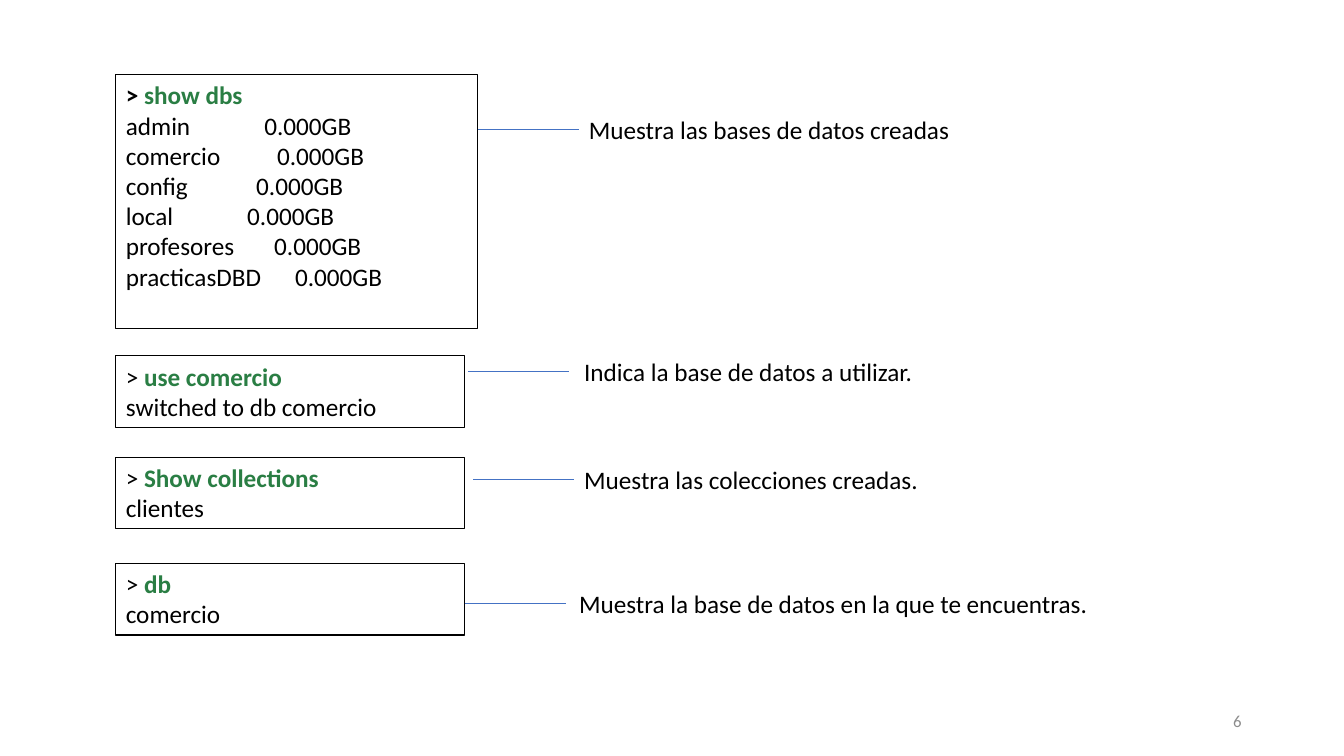
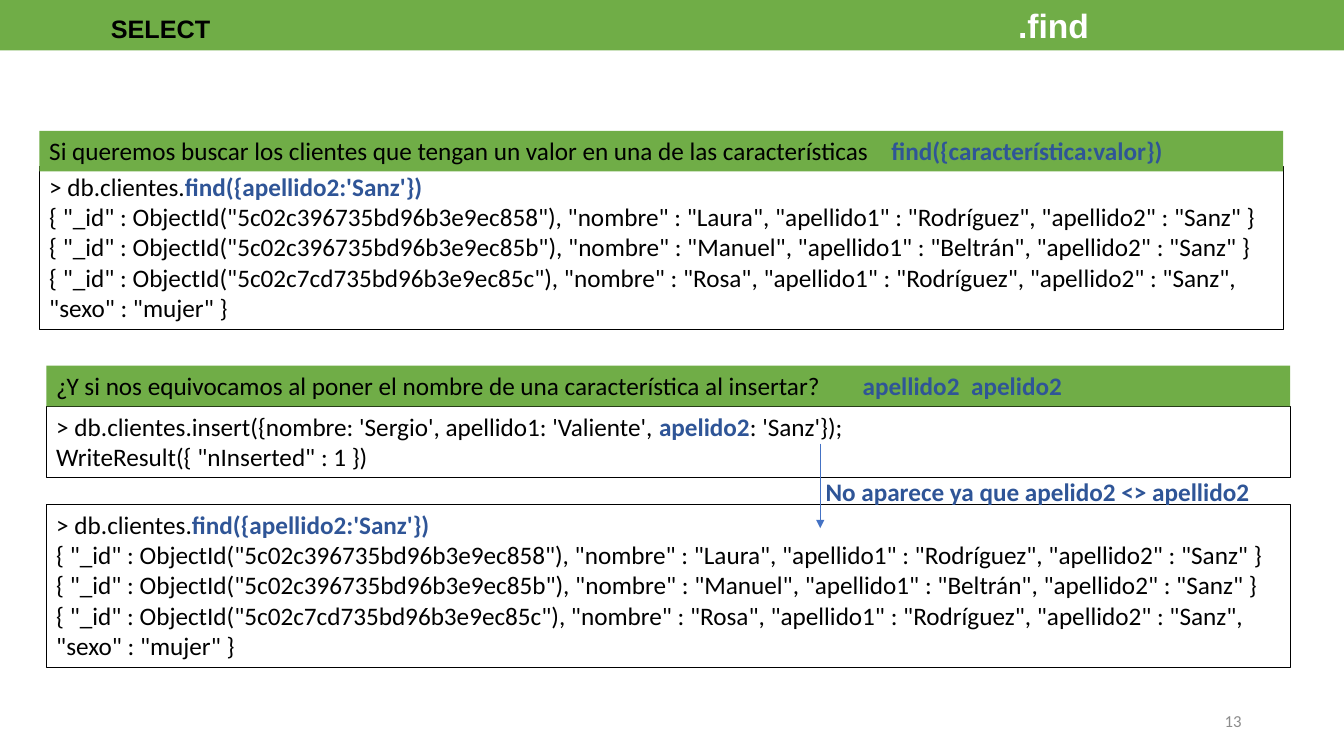
"""Build two slides about database shell commands and find queries."""
import dataclasses

import lxml.etree
import pptx
import pptx.dml.color
import pptx.enum.shapes
import pptx.enum.text
import pptx.oxml.ns
import pptx.util

Pt = pptx.util.Pt
RGB = pptx.dml.color.RGBColor.from_string
qn = pptx.oxml.ns.qn
ALIGN = pptx.enum.text.PP_ALIGN
ANCHOR = pptx.enum.text.MSO_ANCHOR
RECTANGLE = pptx.enum.shapes.MSO_SHAPE.RECTANGLE
STRAIGHT = pptx.enum.shapes.MSO_CONNECTOR.STRAIGHT


@dataclasses.dataclass(frozen=True)
class Theme:
    black: str = "000000"
    white: str = "FFFFFF"
    band: str = "70AD47"
    command: str = "2A7E44"
    accent: str = "2F5597"
    connector: str = "4472C4"
    muted: str = "8C8C8C"
    body: str = "Calibri"
    heading: str = "Arial"
    small: int = 12
    normal: int = 18
    large: int = 24


theme = Theme()
styles = {
    "plain": (theme.black, {"name": theme.body, "size": Pt(theme.normal), "bold": False}),
    "prompt": (theme.black, {"name": theme.body, "size": Pt(theme.normal), "bold": True}),
    "command": (theme.command, {"name": theme.body, "size": Pt(theme.normal), "bold": True}),
    "accent": (theme.accent, {"name": theme.body, "size": Pt(theme.normal), "bold": True}),
    "title": (theme.black, {"name": theme.heading, "size": Pt(theme.normal), "bold": True}),
    "method": (theme.white, {"name": theme.heading, "size": Pt(theme.large), "bold": True}),
    "number": (theme.muted, {"name": theme.body, "size": Pt(theme.small), "bold": False}),
}


def write(shape, paragraphs, alignment=ALIGN.LEFT, anchor=ANCHOR.TOP, margin_left=7.2):
    frame = shape.text_frame
    frame_format = {
        "word_wrap": True,
        "auto_size": pptx.enum.text.MSO_AUTO_SIZE.NONE,
        "vertical_anchor": anchor,
        "margin_left": Pt(margin_left),
        "margin_right": Pt(7.2),
        "margin_top": Pt(3.6),
        "margin_bottom": Pt(3.6),
    }
    for name, value in frame_format.items():
        setattr(frame, name, value)
    for index, (runs, tabs) in enumerate(paragraphs):
        paragraph = frame.add_paragraph() if index else frame.paragraphs[0]
        paragraph.alignment = alignment
        if tabs:
            properties = paragraph._p.get_or_add_pPr()
            tab_list = lxml.etree.SubElement(properties, qn("a:tabLst"))
            for position in tabs:
                lxml.etree.SubElement(tab_list, qn("a:tab"), pos=str(Pt(position)), algn="l")
        for text, style in runs:
            run = paragraph.add_run()
            run.text = text
            color, font_format = styles[style]
            for name, value in font_format.items():
                setattr(run.font, name, value)
            run.font.color.rgb = RGB(color)


def draw(slide, kind, left, top, width, height):
    lengths = [Pt(length) for length in (left, top, width, height)]
    if kind == "text":
        return slide.shapes.add_textbox(*lengths)
    if kind in ("line", "arrow"):
        start_x, start_y, across, down = lengths
        connector = slide.shapes.add_connector(
            STRAIGHT, start_x, start_y, start_x + across, start_y + down)
        connector.line.color.rgb = RGB(theme.connector)
        connector.line.width = Pt(0.5)
        if kind == "arrow":
            lxml.etree.SubElement(connector.line._get_or_add_ln(), qn("a:tailEnd"), type="triangle")
        lxml.etree.SubElement(connector._element.spPr, qn("a:effectLst"))
        return connector
    shape = slide.shapes.add_shape(RECTANGLE, *lengths)
    shape.shadow.inherit = False
    if kind == "band":
        shape.fill.solid()
        shape.fill.fore_color.rgb = RGB(theme.band)
        shape.line.fill.background()
    else:
        shape.fill.background()
        shape.line.color.rgb = RGB(theme.black)
        shape.line.width = Pt(0.75)
    return shape


presentation = pptx.Presentation()
presentation.slide_width = Pt(960)
presentation.slide_height = Pt(540)
title_layout, blank_layout = presentation.slide_layouts[5], presentation.slide_layouts[6]

commands_slide = presentation.slides.add_slide(blank_layout)
databases = [
    ("admin", 98.9),
    ("comercio", 108),
    ("config", 93.1),
    ("local", 86.7),
    ("profesores", 106),
    ("practicasDBD", 120.9),
]
database_list = [([(">", "prompt"), (" show dbs", "command")], [])]
database_list += [([(f"{name}\t0.000GB", "plain")], [tab]) for name, tab in databases]
write(draw(commands_slide, "box", 82.8, 53.3, 258.5, 181.4), database_list)

for command, reply, top in [
    ("use comercio", "switched to db comercio", 254.2),
    ("Show collections", "clientes", 326.5),
    ("db", "comercio", 402.5),
]:
    write(draw(commands_slide, "box", 82.8, top, 249.1, 51.1), [
        ([("> ", "plain"), (command, "command")], []),
        ([(reply, "plain")], []),
    ])

for explanation, text_left, text_top, line_left in [
    ("Muestra las bases de datos creadas", 413.5, 77.8, 341.3),
    ("Indica la base de datos a utilizar.", 410.2, 250.6, 334.4),
    ("Muestra las colecciones creadas.", 410.2, 327.8, 337.9),
    ("Muestra la base de datos en la que te encuentras.", 406.6, 416.7, 331.9),
]:
    write(draw(commands_slide, "text", text_left, text_top, 463.7, 29.1),
          [([(explanation, "plain")], [])])
    draw(commands_slide, "line", line_left, text_top + 14.5, 72.2, 0)

find_slide = presentation.slides.add_slide(title_layout)
title = find_slide.shapes.title
for name, value in {"left": 0, "top": 0, "width": 960, "height": 36}.items():
    setattr(title, name, Pt(value))
title.fill.solid()
title.fill.fore_color.rgb = RGB(theme.band)
write(title, [([("SELECT\t", "title"), (".find", "method")], [648])],
      anchor=ANCHOR.MIDDLE, margin_left=79.2)

find_result = [([("> db.clientes.", "plain"), ("find({apellido2:'Sanz'})", "accent")], [])]
for identifier, first_name, surname, ending in [
    ("5c02c396735bd96b3e9ec858", "Laura", "Rodríguez", " }"),
    ("5c02c396735bd96b3e9ec85b", "Manuel", "Beltrán", " }"),
    ("5c02c7cd735bd96b3e9ec85c", "Rosa", "Rodríguez", ', "sexo" : "mujer" }'),
]:
    record = (f'{{ "_id" : ObjectId("{identifier}"), "nombre" : "{first_name}", '
              f'"apellido1" : "{surname}", "apellido2" : "Sanz"{ending}')
    find_result.append(([(record, "plain")], []))

insert_result = [
    ([("> db.clientes.insert({nombre: 'Sergio', apellido1: 'Valiente', ", "plain"),
      ("apelido2", "accent"), (": 'Sanz'});", "plain")], []),
    ([('WriteResult({ "nInserted" : 1 })', "plain")], []),
]
search_heading = [
    ([("Si queremos buscar los clientes que tengan un valor en una de las características\t",
       "plain"), ("find({característica:valor})", "accent")], [601.5]),
]
mistake_heading = [
    ([("¿Y si nos equivocamos al poner el nombre de una característica al insertar?\t",
       "plain"), ("apellido2\tapelido2", "accent")], [576, 653.5]),
]
for kind, left, top, height, paragraphs in [
    ("box", 28.1, 118.8, 116.3, find_result),
    ("band", 28.1, 93.4, 29.1, search_heading),
    ("box", 33.1, 290, 51, insert_result),
    ("band", 33.1, 261.1, 29.1, mistake_heading),
    ("box", 33.1, 360.2, 116.3, find_result),
]:
    write(draw(find_slide, kind, left, top, 888.5, height), paragraphs)

draw(find_slide, "arrow", 585.9, 316.8, 0, 60.5)
write(draw(find_slide, "text", 582.6, 336.4, 338.4, 29.1),
      [([("No aparece ya que apelido2 <> apellido2", "accent")], [])])

for slide, number in [(commands_slide, "6"), (find_slide, "13")]:
    write(draw(slide, "text", 678, 500.5, 216, 28.8), [([(number, "number")], [])],
          alignment=ALIGN.RIGHT, anchor=ANCHOR.MIDDLE)

presentation.save("out.pptx")
